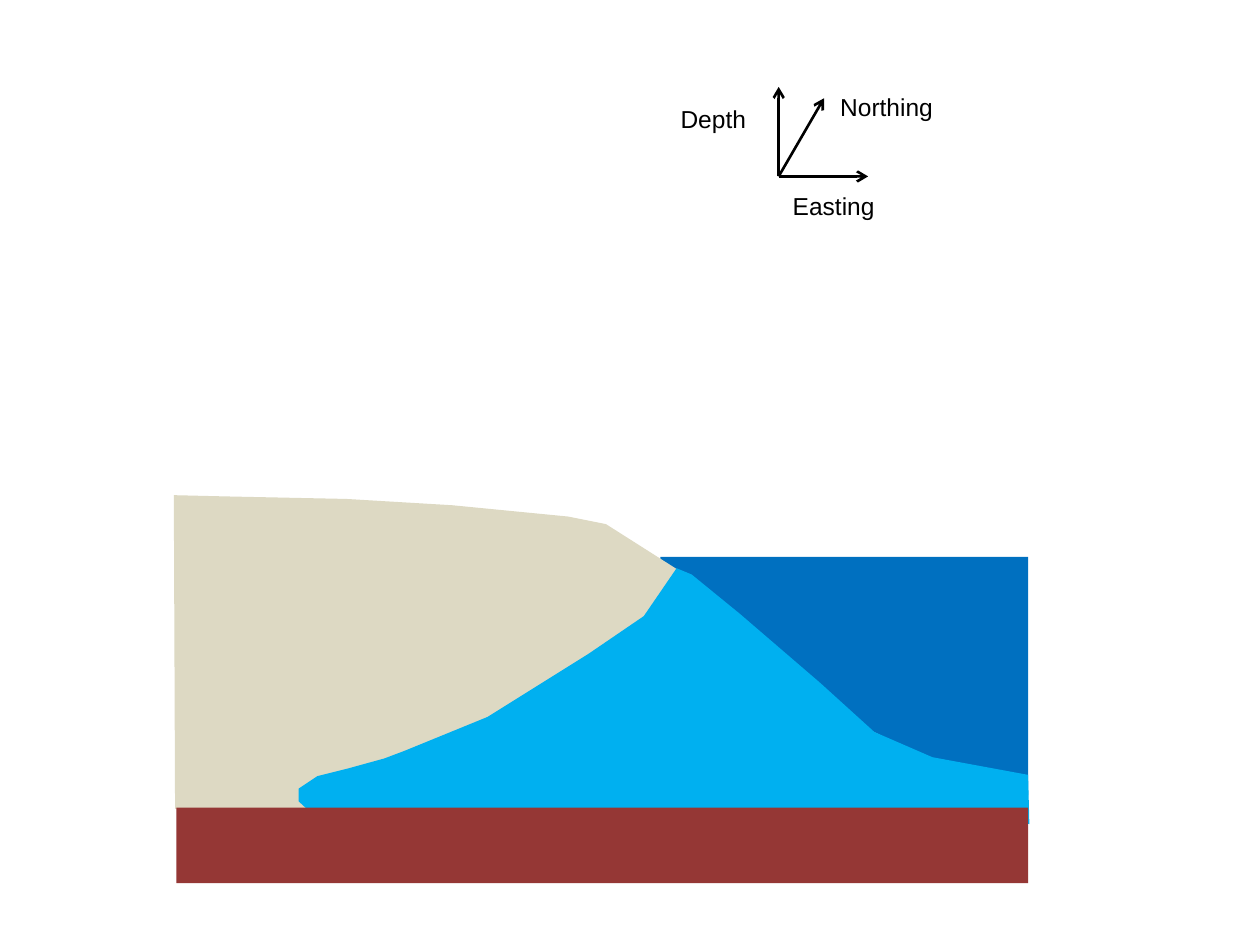
"""Draw a coastal aquifer cross-section with its axis directions."""
from dataclasses import dataclass

from lxml.etree import SubElement
from pptx import Presentation
from pptx.dml.color import RGBColor
from pptx.enum.shapes import MSO_CONNECTOR as Connector, MSO_SHAPE as Shape
from pptx.enum.text import MSO_AUTO_SIZE as AutoSize, PP_ALIGN as Align
from pptx.oxml.ns import qn
from pptx.util import Emu, Pt

PX_PER_INCH = 100
SCALE = 914400 // PX_PER_INCH
FONT = "Arial"
COLOURS = {
    "sea": "0070C0",
    "land": "DDD9C3",
    "saltwater": "00B0F0",
    "bedrock": "953735",
    "ink": "000000",
}
Point = tuple[int, int]


@dataclass(frozen=True)
class Block:
    left: int
    top: int
    width: int
    height: int
    colour: str


@dataclass(frozen=True)
class Region:
    colour: str
    outline: tuple[Point, ...]


@dataclass(frozen=True)
class Label:
    text: str
    left: int
    top: int
    align: Align


SEA = Block(524, 442, 292, 189, "sea")
BEDROCK = Block(140, 641, 676, 60, "bedrock")
LAND = Region("land", (
    (138, 393), (139, 642), (192, 642), (254, 649), (276, 655), (325, 662),
    (447, 660), (510, 658), (587, 658), (617, 655), (668, 653), (760, 656),
    (815, 656), (815, 617), (772, 612), (729, 599), (676, 572), (634, 530),
    (544, 456), (481, 416), (451, 410), (359, 401), (275, 396), (179, 394),
))
SALTWATER = Region("saltwater", (
    (537, 451), (511, 489), (467, 519), (387, 569), (321, 596), (305, 602),
    (276, 610), (252, 616), (237, 626), (237, 636), (249, 647), (301, 656),
    (333, 659), (398, 659), (448, 658), (505, 655), (585, 658), (633, 651),
    (716, 652), (792, 653), (817, 654), (816, 615), (740, 601), (694, 581),
    (651, 542), (587, 487), (549, 456),
))
AXIS_ORIGIN = (618, 140)
AXIS_TIPS = ((689, 140), (654, 78), (618, 69))
LABEL_WIDTH, LABEL_HEIGHT = 110, 34
LABELS = (
    Label("Easting", 594, 147, Align.RIGHT),
    Label("Northing", 657, 68, Align.LEFT),
    Label("Depth", 492, 78, Align.RIGHT),
)


def px(length: int) -> Emu:
    """Turn px into EMU."""
    return Emu(length * SCALE)


def colour(name: str) -> RGBColor:
    """Look up a named colour."""
    return RGBColor.from_string(COLOURS[name])


def paint(shape, name: str) -> None:
    """Give a shape a flat fill without line or shadow."""
    shape.shadow.inherit = False
    shape.fill.solid()
    shape.fill.fore_color.rgb = colour(name)
    shape.line.fill.background()


def draw_block(page, block: Block) -> None:
    """Draw a filled rectangle."""
    bounds = map(px, (block.left, block.top, block.width, block.height))
    paint(page.shapes.add_shape(Shape.RECTANGLE, *bounds), block.colour)


def draw_region(page, region: Region) -> None:
    """Draw a filled closed outline."""
    start, *others = region.outline
    builder = page.shapes.build_freeform(*start, scale=SCALE)
    builder.add_line_segments(others, close=True)
    paint(builder.convert_to_shape(), region.colour)


def draw_axis(page, tip: Point) -> None:
    """Draw an arrow from the axis origin to a tip."""
    ends = map(px, AXIS_ORIGIN + tip)
    arrow = page.shapes.add_connector(Connector.STRAIGHT, *ends)
    arrow.line.color.rgb = colour("ink")
    arrow.line.width = Pt(1.5)
    SubElement(arrow.line._get_or_add_ln(), qn("a:tailEnd"), type="arrow")
    SubElement(arrow._element.spPr, qn("a:effectLst"))


def draw_label(page, label: Label) -> None:
    """Write an axis name."""
    bounds = map(px, (label.left, label.top, LABEL_WIDTH, LABEL_HEIGHT))
    frame = page.shapes.add_textbox(*bounds).text_frame
    frame.word_wrap = True
    frame.auto_size = AutoSize.SHAPE_TO_FIT_TEXT
    frame.text = label.text
    para = frame.paragraphs[0]
    para.alignment = label.align
    font = para.runs[0].font
    font.name, font.size = FONT, Pt(14)
    font.color.rgb = colour("ink")


def main() -> None:
    """Build and save the deck."""
    deck = Presentation()
    deck.slide_width, deck.slide_height = px(1000), px(750)
    page = deck.slides.add_slide(deck.slide_layouts[6])
    draw_block(page, SEA)
    draw_region(page, LAND)
    draw_region(page, SALTWATER)
    draw_block(page, BEDROCK)
    for tip in AXIS_TIPS:
        draw_axis(page, tip)
    for label in LABELS:
        draw_label(page, label)
    deck.save("out.pptx")


if __name__ == "__main__":
    main()
